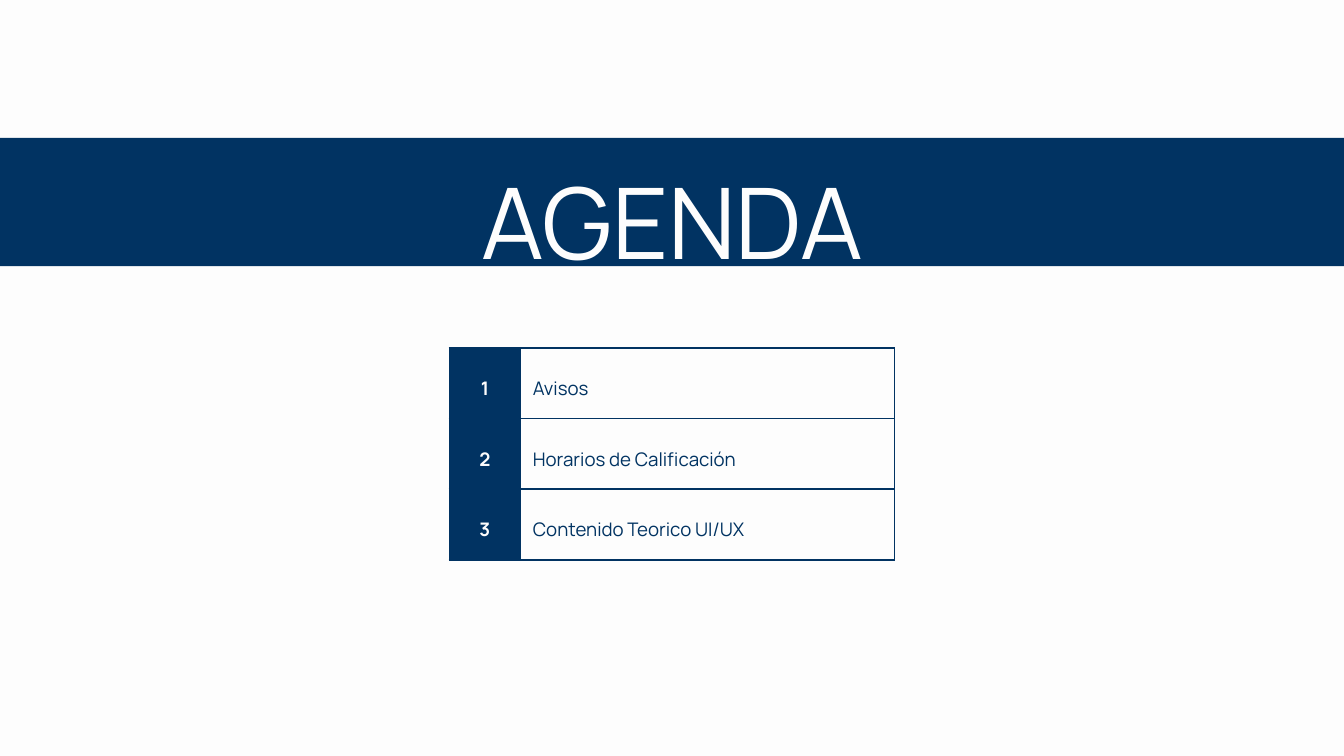
from dataclasses import dataclass
from lxml import etree
from pptx import Presentation
from pptx.dml.color import RGBColor
from pptx.enum import shapes, text
from pptx.oxml import ns
from pptx.util import Inches, Pt


@dataclass(frozen=True)
class Theme:
    font: str = "Manrope"
    navy: str = "013362"
    paper: str = "FDFDFD"
    title: float = 105.8
    body: float = 20
    border: float = 2.07


theme = Theme()


def write(tf, words, size, color, bold=False, align=text.PP_ALIGN.LEFT, spacing=1.4):
    p = tf.paragraphs[0]
    p.alignment = align
    p.line_spacing = spacing
    r = p.add_run()
    r.text = words
    r.font.name = theme.font
    r.font.size = Pt(size)
    r.font.bold = bold
    r.font.color.rgb = RGBColor.from_string(color)


def add_borders(cell, color, width):
    tc_pr = cell._tc.get_or_add_tcPr()
    for side in ("a:lnL", "a:lnR", "a:lnT", "a:lnB"):
        ln = etree.SubElement(tc_pr, ns.qn(side), w=str(Pt(width)))
        fill = etree.SubElement(ln, ns.qn("a:solidFill"))
        etree.SubElement(fill, ns.qn("a:srgbClr"), val=color)


prs = Presentation()
prs.slide_width = Inches(20)
prs.slide_height = Inches(11.25)
s = prs.slides.add_slide(prs.slide_layouts[6])
s.background.fill.solid()
s.background.fill.fore_color.rgb = RGBColor.from_string(theme.paper)

topics = ["Avisos", "Horarios de Calificación", "Contenido Teorico UI/UX"]
widths = [1.05, 5.57]
row_height = 1.05
table = s.shapes.add_table(
    len(topics), len(widths), Inches(6.69), Inches(5.18),
    Inches(sum(widths)), Inches(row_height * len(topics)),
).table
table.first_row = False
table.horz_banding = False
for column, width in zip(table.columns, widths):
    column.width = Inches(width)

for i, topic in enumerate(topics):
    table.rows[i].height = Inches(row_height)
    number_cell, topic_cell = table.rows[i].cells
    for cell in (number_cell, topic_cell):
        cell.vertical_anchor = text.MSO_ANCHOR.MIDDLE
        cell.margin_left = cell.margin_right = Inches(0.19)
        cell.margin_top = cell.margin_bottom = Inches(0.19)
        add_borders(cell, theme.navy, theme.border)
    number_cell.fill.solid()
    number_cell.fill.fore_color.rgb = RGBColor.from_string(theme.navy)
    topic_cell.fill.background()
    write(number_cell.text_frame, str(i + 1), theme.body, theme.paper,
          bold=True, align=text.PP_ALIGN.CENTER)
    write(topic_cell.text_frame, topic, theme.body, theme.navy)

band = s.shapes.add_shape(
    shapes.MSO_SHAPE.RECTANGLE, Inches(-0.64), Inches(2.05), Inches(21.28), Inches(1.91))
band.shadow.inherit = False
band.fill.solid()
band.fill.fore_color.rgb = RGBColor.from_string(theme.navy)
band.line.fill.background()

title = s.shapes.add_textbox(Inches(6.5), Inches(2.04), Inches(7.01), Inches(1.78))
tf = title.text_frame
tf.word_wrap = True
tf.auto_size = text.MSO_AUTO_SIZE.SHAPE_TO_FIT_TEXT
tf.margin_left = tf.margin_right = tf.margin_top = tf.margin_bottom = 0
write(tf, "AGENDA", theme.title, theme.paper, align=text.PP_ALIGN.CENTER, spacing=1.2)

prs.save("out.pptx")
